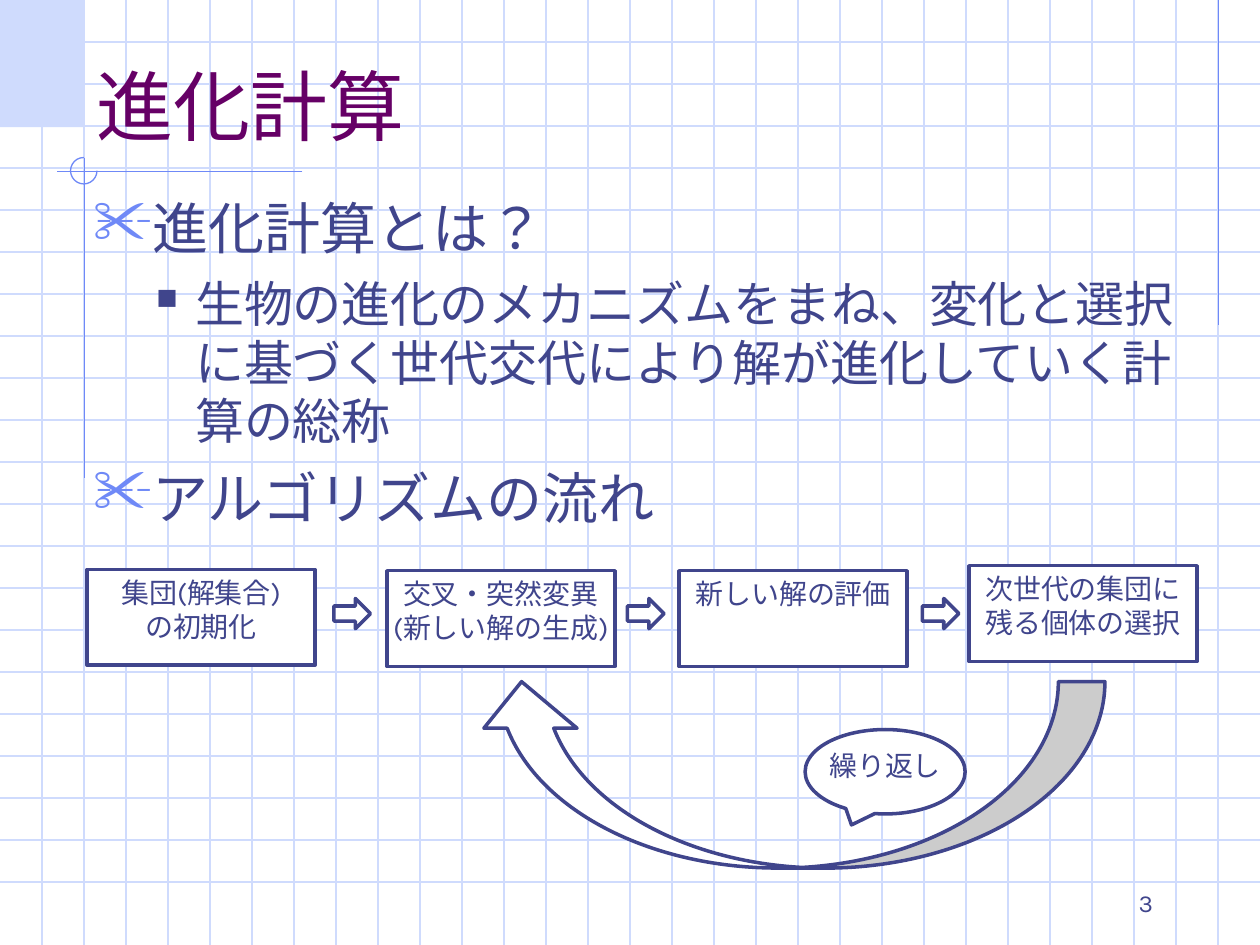
from lxml import etree
from pptx import Presentation
from pptx.dml.color import RGBColor
from pptx.enum.shapes import MSO_CONNECTOR, MSO_SHAPE
from pptx.enum.text import MSO_ANCHOR, PP_ALIGN
from pptx.oxml.ns import qn
from pptx.util import Inches, Pt

STRAIGHT = MSO_CONNECTOR.STRAIGHT
RECTANGLE = MSO_SHAPE.RECTANGLE
RIGHT_ARROW = MSO_SHAPE.RIGHT_ARROW
CURVED_ARROW = MSO_SHAPE.CURVED_UP_ARROW
CALLOUT = MSO_SHAPE.OVAL_CALLOUT
ARC = MSO_SHAPE.ARC
TOP, BOTTOM = MSO_ANCHOR.TOP, MSO_ANCHOR.BOTTOM
LEFT, CENTER, RIGHT = PP_ALIGN.LEFT, PP_ALIGN.CENTER, PP_ALIGN.RIGHT

COLORS = {
    "pale": "CFDBFD",
    "accent": "6F89F7",
    "ink": "40458C",
    "title": "660066",
    "white": "FFFFFF",
}
LATIN = "Karla"
JAPANESE = "Noto Sans CJK JP"
WIDTH, HEIGHT = 10, 7.5
GRID_STEP = 1 / 3
LINE_HEIGHT = 1.2


def rgb(name):
    return RGBColor.from_string(COLORS[name])


def add_bullet(paragraph, character, color, percent, margin, indent):
    properties = paragraph._p.get_or_add_pPr()
    properties.set("marL", str(Inches(margin)))
    properties.set("indent", str(Inches(indent)))
    bullet_color = etree.SubElement(properties, qn("a:buClr"))
    etree.SubElement(bullet_color, qn("a:srgbClr"), val=COLORS[color])
    etree.SubElement(properties, qn("a:buSzPct"), val=str(percent * 1000))
    etree.SubElement(properties, qn("a:buChar"), char=character)


def write_paragraph(paragraph, text, size=16, color="ink", font=LATIN,
                    align=LEFT, before=0, level=0, bullet=None):
    if bullet:
        add_bullet(paragraph, **bullet)
    paragraph.level = level
    paragraph.alignment = align
    paragraph.line_spacing = Pt(size * LINE_HEIGHT)
    if before:
        paragraph.space_before = Pt(before)
    run = paragraph.add_run()
    run.text = text
    run.font.size = Pt(size)
    run.font.name = font
    run.font.color.rgb = rgb(color)
    properties = run._r.get_or_add_rPr()
    properties.set("lang", "ja-JP")
    east_asian = etree.Element(qn("a:ea"), typeface=JAPANESE)
    properties.find(qn("a:latin")).addnext(east_asian)


class SlideBuilder:
    def __init__(self, slide):
        self.slide = slide
        self.thin = Pt(0.75)
        self.thick = Pt(2)

    def line(self, start, end, color):
        connector = self.slide.shapes.add_connector(
            STRAIGHT, *[Inches(value) for value in (*start, *end)])
        connector.line.color.rgb = rgb(color)
        connector.line.width = self.thin
        etree.SubElement(connector._element.spPr, qn("a:effectLst"))

    def shape(self, kind, box, fill="white", line="ink", adjustments=()):
        shape = self.slide.shapes.add_shape(
            kind, *[Inches(value) for value in box])
        shape.shadow.inherit = False
        for index, value in enumerate(adjustments):
            shape.adjustments[index] = value
        if fill:
            shape.fill.solid()
            shape.fill.fore_color.rgb = rgb(fill)
        else:
            shape.fill.background()
        if line:
            shape.line.color.rgb = rgb(line)
            shape.line.width = self.thick
        else:
            shape.line.fill.background()
        return shape

    def fill_text(self, shape, paragraphs, anchor=TOP, wrap=True):
        frame = shape.text_frame
        frame.word_wrap = wrap
        frame.vertical_anchor = anchor
        for index, (text, style) in enumerate(paragraphs):
            paragraph = frame.add_paragraph() if index else frame.paragraphs[0]
            write_paragraph(paragraph, text, **style)

    def text(self, box, paragraphs, anchor=TOP):
        shape = self.slide.shapes.add_textbox(
            *[Inches(value) for value in box])
        self.fill_text(shape, paragraphs, anchor)

    def label(self, kind, box, lines, adjustments=()):
        shape = self.shape(kind, box, adjustments=adjustments)
        self.fill_text(shape, [(line, {"align": CENTER}) for line in lines],
                       wrap=False)

    def grid(self):
        for row in range(1, round(HEIGHT / GRID_STEP)):
            y = row * GRID_STEP
            self.line((0, y), (WIDTH, y), "pale")
        for column in range(1, round(WIDTH / GRID_STEP)):
            x = column * GRID_STEP
            self.line((x, 0), (x, HEIGHT), "pale")

    def background(self):
        self.shape(RECTANGLE, (0, 0, 0.67, 1.01), fill="pale", line=None)
        self.grid()
        self.line((9.67, 0), (9.67, 2.58), "accent")
        self.line((2.4, 1.36), (0.45, 1.36), "accent")
        self.line((0.67, 1.25), (0.67, 3.79), "accent")
        arc = self.shape(ARC, (0.56, 1.25, 0.21, 0.21), fill=None,
                         line="accent", adjustments=(0, 162))
        arc.line.width = self.thin

    def flow(self):
        steps = [
            (0.69, 4.52, ["集団(解集合)", "の初期化"]),
            (3.07, 4.53, ["交叉・突然変異", "(新しい解の生成)"]),
            (5.39, 4.53, ["新しい解の評価"]),
            (7.69, 4.49, ["次世代の集団に", "残る個体の選択"]),
        ]
        for left, top, lines in steps:
            self.label(RECTANGLE, (left, top, 1.81, 0.76), lines)
        for left in (2.65, 4.98, 7.32):
            self.shape(RIGHT_ARROW, (left, 4.75, 0.29, 0.24))
        loop = self.shape(CURVED_ARROW, (3.77, 5.41, 5, 1.48))
        loop._element.spPr.find(qn("a:xfrm")).set("flipH", "1")
        self.label(CALLOUT, (6.39, 5.79, 1.27, 0.67), ["繰り返し"],
                   adjustments=(-0.21, 0.63))


def main():
    presentation = Presentation()
    presentation.slide_width = Inches(WIDTH)
    presentation.slide_height = Inches(HEIGHT)
    builder = SlideBuilder(
        presentation.slides.add_slide(presentation.slide_layouts[6]))
    builder.background()
    builder.text((7.17, 6.83, 2.08, 0.5),
                 [("3", {"size": 14, "align": RIGHT})], BOTTOM)
    builder.text((0.67, 0.33, 8.5, 0.92),
                 [("進化計算", {"size": 44, "color": "title",
                            "font": JAPANESE})], BOTTOM)
    scissors = {"character": "✂", "color": "accent", "percent": 110,
                "margin": 0.38, "indent": -0.38}
    square = {"character": "■", "color": "ink", "percent": 60,
              "margin": 0.81, "indent": -0.31}
    heading = {"size": 32, "font": JAPANESE, "bullet": scissors}
    detail = {"size": 28, "before": 7, "level": 1, "bullet": square}
    builder.text((0.64, 1.49, 9.08, 5.25), [
        ("進化計算とは？", heading),
        ("生物の進化のメカニズムをまね、変化と選択に基づく世代交代により"
         "解が進化していく計算の総称", detail),
        ("アルゴリズムの流れ", {**heading, "before": 8}),
    ])
    builder.flow()
    presentation.save("out.pptx")


if __name__ == "__main__":
    main()
